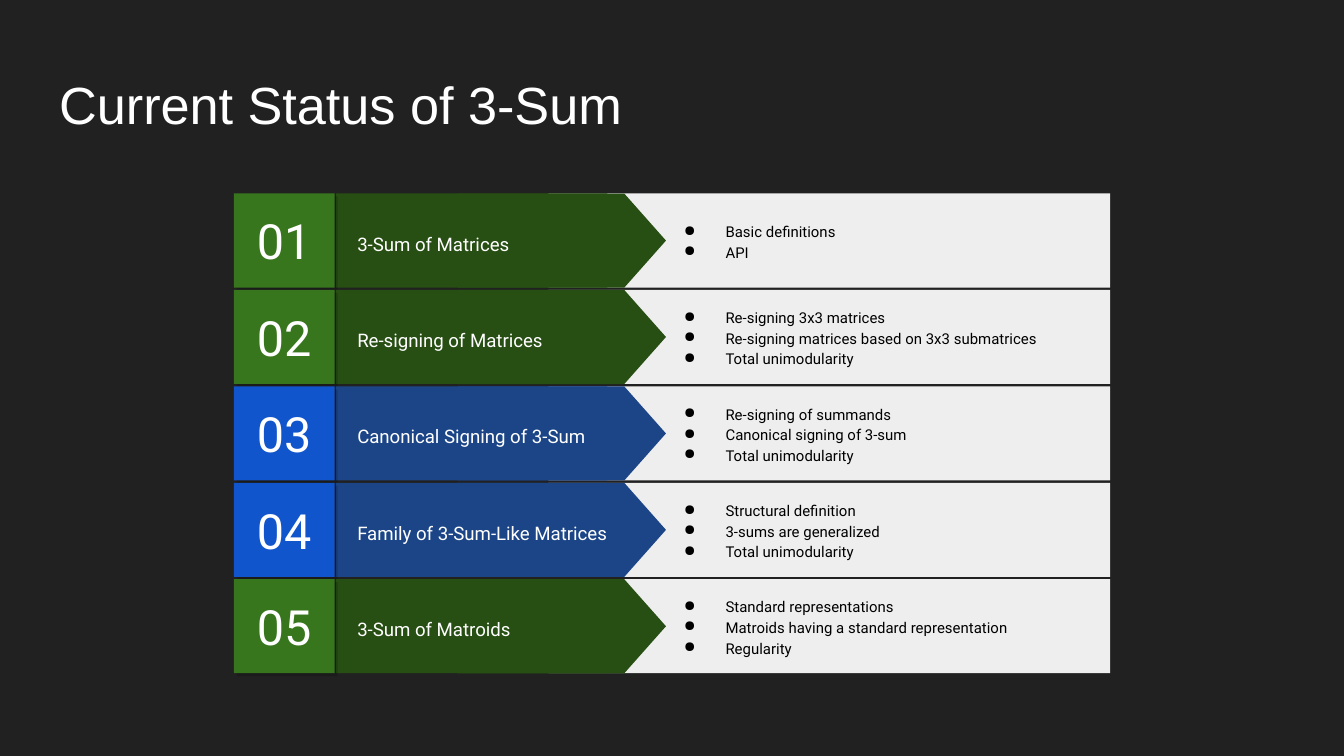
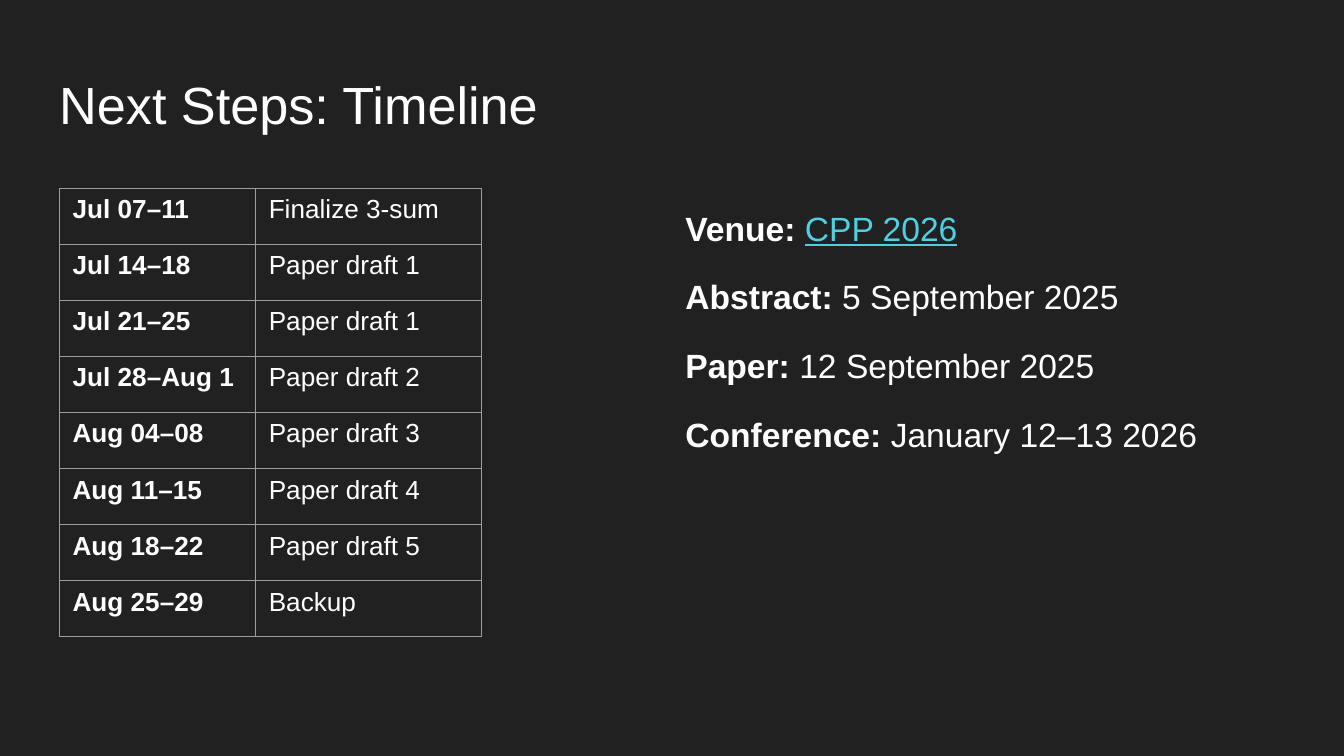
from lxml import etree
from pptx import Presentation
from pptx.dml.color import RGBColor
from pptx.enum.shapes import MSO_SHAPE
from pptx.enum.text import MSO_ANCHOR, MSO_AUTO_SIZE, PP_ALIGN
from pptx.oxml.ns import qn
from pptx.util import Inches, Pt

RECTANGLE = MSO_SHAPE.RECTANGLE
ARROW_HEAD = MSO_SHAPE.FLOWCHART_OFFPAGE_CONNECTOR
TOP, MIDDLE = MSO_ANCHOR.TOP, MSO_ANCHOR.MIDDLE
LEFT, CENTER = PP_ALIGN.LEFT, PP_ALIGN.CENTER
NO_AUTOFIT = MSO_AUTO_SIZE.NONE
TITLE_AND_BODY, TITLE_ONLY = 1, 5

# Shared look
BACKGROUND, WHITE, BLACK = "212121", "FFFFFF", "000000"
PANEL, BORDER, LINK = "EEEEEE", "9E9E9E", "4DD0E1"
GREEN = ("38761D", "274E13")
BLUE = ("1155CC", "1C4587")
SANS, ROBOTO = "Arial", "Roboto"

# Status rows
FIRST_ROW, LAST_ROW, ROW_HEIGHT = 1.44, 4.31, 0.7
STATUS = [
    ("3-Sum of Matrices", GREEN, ["Basic definitions", "API"]),
    ("Re-signing of Matrices", GREEN,
     ["Re-signing 3x3 matrices",
      "Re-signing matrices based on 3x3 submatrices",
      "Total unimodularity"]),
    ("Canonical Signing of 3-Sum", BLUE,
     ["Re-signing of summands", "Canonical signing of 3-sum",
      "Total unimodularity"]),
    ("Family of 3-Sum-Like Matrices", BLUE,
     ["Structural definition", "3-sums are generalized",
      "Total unimodularity"]),
    ("3-Sum of Matroids", GREEN,
     ["Standard representations",
      "Matroids having a standard representation", "Regularity"]),
]

# Timeline
COLUMN_WIDTHS = (1.46, 1.68)
TABLE_HEIGHT = 3.34
TIMELINE = [
    ("Jul 07–11", "Finalize 3-sum"),
    ("Jul 14–18", "Paper draft 1"),
    ("Jul 21–25", "Paper draft 1"),
    ("Jul 28–Aug 1", "Paper draft 2"),
    ("Aug 04–08", "Paper draft 3"),
    ("Aug 11–15", "Paper draft 4"),
    ("Aug 18–22", "Paper draft 5"),
    ("Aug 25–29", "Backup"),
]
BOLD = {"bold": True}
DATES = [
    [("Venue: ", BOLD), ("CPP 2026", {"color": LINK, "underline": True})],
    [("Abstract:", BOLD), (" 5 September 2025", {})],
    [("Paper:", BOLD), (" 12 September 2025", {})],
    [("Conference:", BOLD), (" January 12–13 2026", {})],
]


def rgb(color):
    return RGBColor.from_string(color)


def place(shape, left, top, width, height):
    shape.left, shape.top = Inches(left), Inches(top)
    shape.width, shape.height = Inches(width), Inches(height)


def format_run(run, size, font=SANS, color=WHITE, bold=False, underline=False):
    run.font.size = Pt(size)
    run.font.name = font
    run.font.color.rgb = rgb(color)
    run.font.bold = bold
    run.font.underline = underline


def add_bullet(paragraph, color):
    properties = paragraph._p.get_or_add_pPr()
    properties.set("marL", str(Inches(0.5)))
    properties.set("indent", str(Inches(-0.31)))
    bullet_color = etree.SubElement(properties, qn("a:buClr"))
    etree.SubElement(bullet_color, qn("a:srgbClr"), val=color)
    etree.SubElement(properties, qn("a:buChar"), char="●")


def write_text(frame, paragraphs, spacing=1.0, align=LEFT, gap=0,
               bullet=None, **run_format):
    """Fill a text frame; a paragraph is a string or a list of (text, format)."""
    for index, content in enumerate(paragraphs):
        paragraph = frame.paragraphs[0] if index == 0 else frame.add_paragraph()
        paragraph.alignment = align
        paragraph.line_spacing = spacing
        paragraph.space_before = Pt(gap if index else 0)
        if bullet:
            add_bullet(paragraph, bullet)
        runs = [(content, {})] if isinstance(content, str) else content
        for text, changes in runs:
            run = paragraph.add_run()
            run.text = text
            format_run(run, **{**run_format, **changes})


def prepare_frame(frame, anchor=TOP):
    frame.word_wrap = True
    frame.auto_size = NO_AUTOFIT
    frame.vertical_anchor = anchor
    frame.margin_left = frame.margin_right = Inches(0.1)
    frame.margin_top = frame.margin_bottom = Inches(0.1)
    return frame


def add_titled_slide(presentation, layout, title):
    slide = presentation.slides.add_slide(presentation.slide_layouts[layout])
    place(slide.shapes.title, 0.34, 0.49, 9.32, 0.63)
    frame = prepare_frame(slide.shapes.title.text_frame)
    write_text(frame, [title], spacing=0.9, size=28)
    return slide


def add_block(shapes, preset, box, fill):
    shape = shapes.add_shape(preset, *map(Inches, box))
    shape.shadow.inherit = False
    shape.fill.solid()
    shape.fill.fore_color.rgb = rgb(fill)
    shape.line.fill.background()
    return shape


def add_label(shapes, box, paragraphs, **text_format):
    label = shapes.add_textbox(*map(Inches, box))
    frame = prepare_frame(label.text_frame, MIDDLE)
    write_text(frame, paragraphs, spacing=1.15, font=ROBOTO, **text_format)


def add_soft_shadow(shape):
    effects = shape._element.spPr.find(qn("a:effectLst"))
    shadow = etree.SubElement(effects, qn("a:outerShdw"), dist=str(Pt(2.2)),
                              dir=str(45 * 60000), algn="bl", rotWithShape="0")
    color = etree.SubElement(shadow, qn("a:srgbClr"), val=BLACK)
    etree.SubElement(color, qn("a:alpha"), val="17000")


def add_status_row(slide, number, top, name, colors, details):
    shapes = slide.shapes.add_group_shape().shapes
    bright, dark = colors
    # Panel and arrow
    add_block(shapes, RECTANGLE, (4.08, top, 4.18, ROW_HEIGHT), PANEL)
    add_block(shapes, RECTANGLE, (2.5, top, 2.02, ROW_HEIGHT), dark)
    length = 1.55
    head_top = top + (ROW_HEIGHT - length) / 2
    head = add_block(shapes, ARROW_HEAD, (3.83, head_top, ROW_HEIGHT, length), dark)
    head.rotation = 270
    add_label(shapes, (2.56, top + 0.09, 2.12, 0.54), [name], size=10)
    # Number tile
    tile = add_block(shapes, RECTANGLE, (1.74, top, 0.75, ROW_HEIGHT), bright)
    add_soft_shadow(tile)
    write_text(prepare_frame(tile.text_frame, MIDDLE), [f"{number:02d}"],
               align=CENTER, size=26, font=ROBOTO)
    # Details
    add_label(shapes, (4.8, top, 3.25, ROW_HEIGHT), details,
              size=8, color=BLACK, bullet=BLACK)


def set_borders(cell):
    properties = cell._tc.get_or_add_tcPr()
    for index, side in enumerate(("lnL", "lnR", "lnT", "lnB")):
        line = etree.Element(qn(f"a:{side}"), w=str(Pt(0.75)))
        fill = etree.SubElement(line, qn("a:solidFill"))
        etree.SubElement(fill, qn("a:srgbClr"), val=BORDER)
        properties.insert(index, line)


def add_timeline_table(slide):
    frame = slide.shapes.add_table(
        len(TIMELINE), len(COLUMN_WIDTHS), Inches(0.44), Inches(1.4),
        Inches(sum(COLUMN_WIDTHS)), Inches(TABLE_HEIGHT))
    table = frame.table
    table.first_row = table.horz_banding = False
    for column, width in zip(table.columns, COLUMN_WIDTHS):
        column.width = Inches(width)
    for row, texts in zip(table.rows, TIMELINE):
        for index, (cell, text) in enumerate(zip(row.cells, texts)):
            cell.fill.background()
            set_borders(cell)
            write_text(cell.text_frame, [text], size=14, bold=index == 0)


def add_dates(slide):
    body = slide.placeholders[1]
    place(body, 5, 1.4, 4.4, 3.6)
    frame = prepare_frame(body.text_frame)
    write_text(frame, DATES, spacing=1.15, gap=12, size=18)
    for paragraph in frame.paragraphs:
        properties = paragraph._p.get_or_add_pPr()
        properties.set("marL", "0")
        properties.set("indent", "0")
        etree.SubElement(properties, qn("a:buNone"))


def main():
    presentation = Presentation()
    presentation.slide_width = Inches(10)
    presentation.slide_height = Inches(10) * 9 // 16
    background = presentation.slide_master.background.fill
    background.solid()
    background.fore_color.rgb = rgb(BACKGROUND)

    # Status overview
    slide = add_titled_slide(presentation, TITLE_ONLY, "Current Status of 3-Sum")
    pitch = (LAST_ROW - FIRST_ROW) / (len(STATUS) - 1)
    for index, row in enumerate(STATUS):
        add_status_row(slide, index + 1, FIRST_ROW + index * pitch, *row)

    # Timeline and submission dates
    slide = add_titled_slide(presentation, TITLE_AND_BODY, "Next Steps: Timeline")
    add_dates(slide)
    add_timeline_table(slide)

    presentation.save("out.pptx")


if __name__ == "__main__":
    main()
